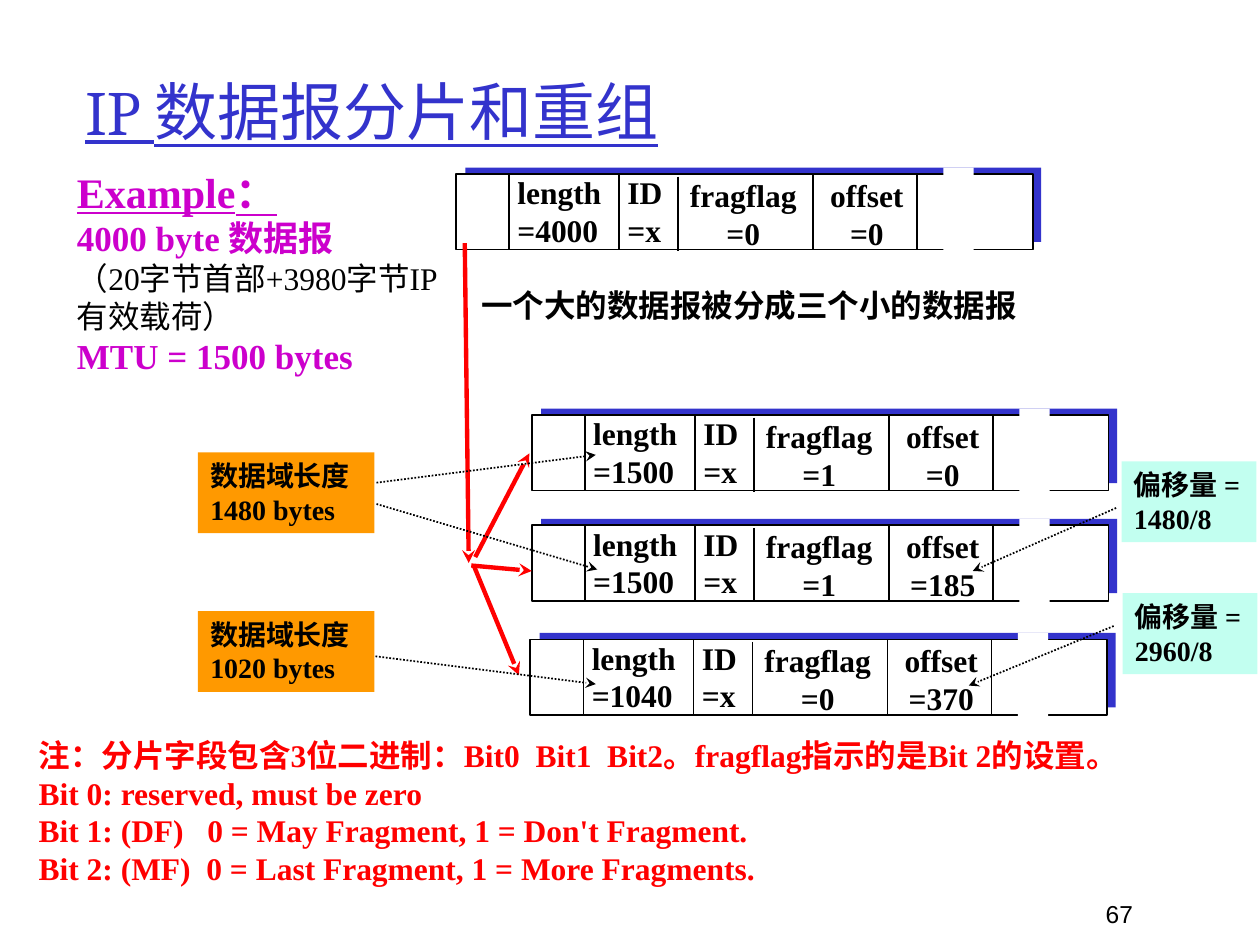
from typing import NamedTuple

from lxml.etree import SubElement
from pptx import Presentation
from pptx.dml.color import RGBColor
from pptx.enum.dml import MSO_LINE
from pptx.enum.shapes import MSO_CONNECTOR, MSO_SHAPE
from pptx.enum.text import MSO_ANCHOR, PP_ALIGN
from pptx.oxml.ns import qn
from pptx.util import Cm, Pt

HUES = {
    "blue": "3333CC", "white": "FFFFFF", "black": "000000", "red": "FF0000",
    "pink": "CC00CC", "gold": "FF9900", "mint": "C2FFF0",
}
SERIF = "Times New Roman"


class Box(NamedTuple):
    left: float
    top: float
    width: float
    height: float


class Line(NamedTuple):
    text: str
    size: int = 18
    hue: str = "black"
    bold: bool = True
    under: bool = False
    font: str = SERIF
    align: PP_ALIGN = PP_ALIGN.LEFT


class Packet(NamedTuple):
    left: float
    top: float
    length: int
    flag: int
    offset: int


class Field(NamedTuple):
    name: str
    left: float
    top: float
    width: float
    align: PP_ALIGN


class Arrow(NamedTuple):
    x1: float
    y1: float
    x2: float
    y2: float


class Note(NamedTuple):
    box: Box
    hue: str
    lines: list[str]


FIELDS = [
    Field("ID", 3.21, -0.14, 1.22, PP_ALIGN.LEFT),
    Field("offset", 7.28, -0.09, 2.01, PP_ALIGN.CENTER),
    Field("fragflag", 4.45, -0.09, 2.69, PP_ALIGN.CENTER),
    Field("length", 0.99, -0.14, 2.24, PP_ALIGN.LEFT),
]
RULES = [(1.07, 0), (3.29, 0), (4.48, 0.05), (7.2, 0), (9.3, 0)]
PACKETS = [
    Packet(9.19, 3.51, 4000, 0, 0),
    Packet(10.72, 8.37, 1500, 1, 0),
    Packet(10.72, 10.59, 1500, 1, 185),
    Packet(10.69, 12.89, 1040, 0, 370),
]
NOTES = [
    Note(Box(3.99, 9.12, 3.56, 1.63), "gold", ["数据域长度 1480 bytes"]),
    Note(Box(3.99, 12.32, 3.56, 1.63), "gold", ["数据域长度 1020 bytes"]),
    Note(Box(22.61, 9.3, 2.72, 1.63), "mint", ["偏移量 =", "1480/8"]),
    Note(Box(22.63, 11.96, 2.72, 1.63), "mint", ["偏移量 =", "2960/8"]),
]
SPLITS = [
    Arrow(9.37, 4.9, 9.45, 11.35),
    Arrow(9.58, 11.23, 10.67, 9.14),
    Arrow(9.5, 11.4, 10.72, 11.51),
    Arrow(9.55, 11.4, 10.46, 13.61),
]
HINTS = [
    Arrow(7.59, 9.73, 12.01, 9.17),
    Arrow(7.59, 10.16, 12.04, 11.48),
    Arrow(7.57, 13.23, 12.01, 13.79),
    Arrow(22.5, 10.24, 19.61, 11.51),
    Arrow(22.45, 12.62, 19.53, 13.82),
]


def color(hue: str) -> RGBColor:
    """Look up a colour by name."""
    return RGBColor.from_string(HUES[hue])


def write(shape, lines: list[Line], wrap: bool = True,
          anchor: MSO_ANCHOR = MSO_ANCHOR.TOP) -> None:
    """Fill a shape with one paragraph per line."""
    frame = shape.text_frame
    frame.word_wrap = wrap
    frame.vertical_anchor = anchor
    for i, line in enumerate(lines):
        para = frame.add_paragraph() if i else frame.paragraphs[0]
        para.text = line.text
        para.alignment = line.align
        font = para.font
        font.name, font.size = line.font, Pt(line.size)
        font.bold, font.underline = line.bold, line.under
        font.color.rgb = color(line.hue)


def label(slide, box: Box, lines: list[Line], wrap: bool = True,
          anchor: MSO_ANCHOR = MSO_ANCHOR.TOP) -> None:
    """Add a text box."""
    write(slide.shapes.add_textbox(*map(Cm, box)), lines, wrap, anchor)


def block(slide, box: Box, hue: str, edge: bool = False):
    """Add a plain filled rectangle."""
    shape = slide.shapes.add_shape(MSO_SHAPE.RECTANGLE, *map(Cm, box))
    shape.shadow.inherit = False
    shape.fill.solid()
    shape.fill.fore_color.rgb = color(hue)
    if edge:
        shape.line.color.rgb = color("black")
        shape.line.width = Pt(1)
    else:
        shape.line.fill.background()
    return shape


def stroke(slide, ends: Arrow, hue: str = "black", width: float = 1,
           head: bool = False, dots: bool = False) -> None:
    """Add a straight line, with an arrowhead or dots if asked."""
    link = slide.shapes.add_connector(MSO_CONNECTOR.STRAIGHT, *map(Cm, ends))
    link.line.color.rgb = color(hue)
    link.line.width = Pt(width)
    if dots:
        link.line.dash_style = MSO_LINE.ROUND_DOT
    if head:
        SubElement(link.line._get_or_add_ln(), qn("a:tailEnd"), type="stealth")
    SubElement(link._element.spPr, qn("a:effectLst"))


def draw(slide, pack: Packet) -> None:
    """Draw one datagram with its header fields."""
    x, y = pack.left, pack.top
    block(slide, Box(x + 0.19, y - 0.13, 11.61, 1.5), "blue")
    block(slide, Box(x, y, 11.63, 1.52), "white", edge=True)
    values = {"ID": "x", "offset": pack.offset, "fragflag": pack.flag,
              "length": pack.length}
    for field in FIELDS:
        box = Box(x + field.left, y + field.top, field.width, 1.8)
        words = [field.name, f"={values[field.name]}"]
        label(slide, box, [Line(word, align=field.align) for word in words], wrap=False)
    for dx, dy in RULES:
        stroke(slide, Arrow(x + dx, y + dy, x + dx, y + dy + 1.5))
    block(slide, Box(x + 9.83, y - 0.13, 0.61, 1.68), "white")


def main() -> None:
    """Build the slide and save it."""
    deck = Presentation()
    deck.slide_width, deck.slide_height = Cm(25.4), Cm(19.05)
    slide = deck.slides.add_slide(deck.slide_layouts[6])
    label(slide, Box(15.04, 17.78, 8.05, 1.27),
          [Line("67", 14, bold=False, font="Arial", align=PP_ALIGN.RIGHT)],
          anchor=MSO_ANCHOR.MIDDLE)
    label(slide, Box(1.47, 0.64, 22.4, 3.18),
          [Line("IP 数据报分片和重组", 36, "blue", False, True, "Cambria")],
          anchor=MSO_ANCHOR.MIDDLE)
    for pack in PACKETS:
        draw(slide, pack)
    label(slide, Box(9.45, 5.64, 11.38, 1.02),
          [Line("一个大的数据报被分成三个小的数据报", font="Comic Neue")], wrap=False)
    label(slide, Box(1.3, 3.23, 7.87, 4.67), [
        Line("Example：", 24, "pink", under=True),
        Line("4000 byte 数据报", 20, "pink"),
        Line("（20字节首部+3980字节IP有效载荷）", bold=False),
        Line("MTU = 1500 bytes", 20, "pink"),
    ])
    for note in NOTES:
        write(block(slide, note.box, note.hue), [Line(text, 16) for text in note.lines])
    for ends in SPLITS:
        stroke(slide, ends, "red", 2.5, head=True)
    for ends in HINTS:
        stroke(slide, ends, head=True, dots=True)
    label(slide, Box(0.53, 14.71, 24.54, 3.33), [Line(text, hue="red") for text in [
        "注：分片字段包含3位二进制：Bit0  Bit1  Bit2。fragflag指示的是Bit 2的设置。",
        "Bit 0: reserved, must be zero",
        "Bit 1: (DF)   0 = May Fragment, 1 = Don't Fragment.",
        "Bit 2: (MF)  0 = Last Fragment, 1 = More Fragments.",
    ]])
    deck.save("out.pptx")


if __name__ == "__main__":
    main()
